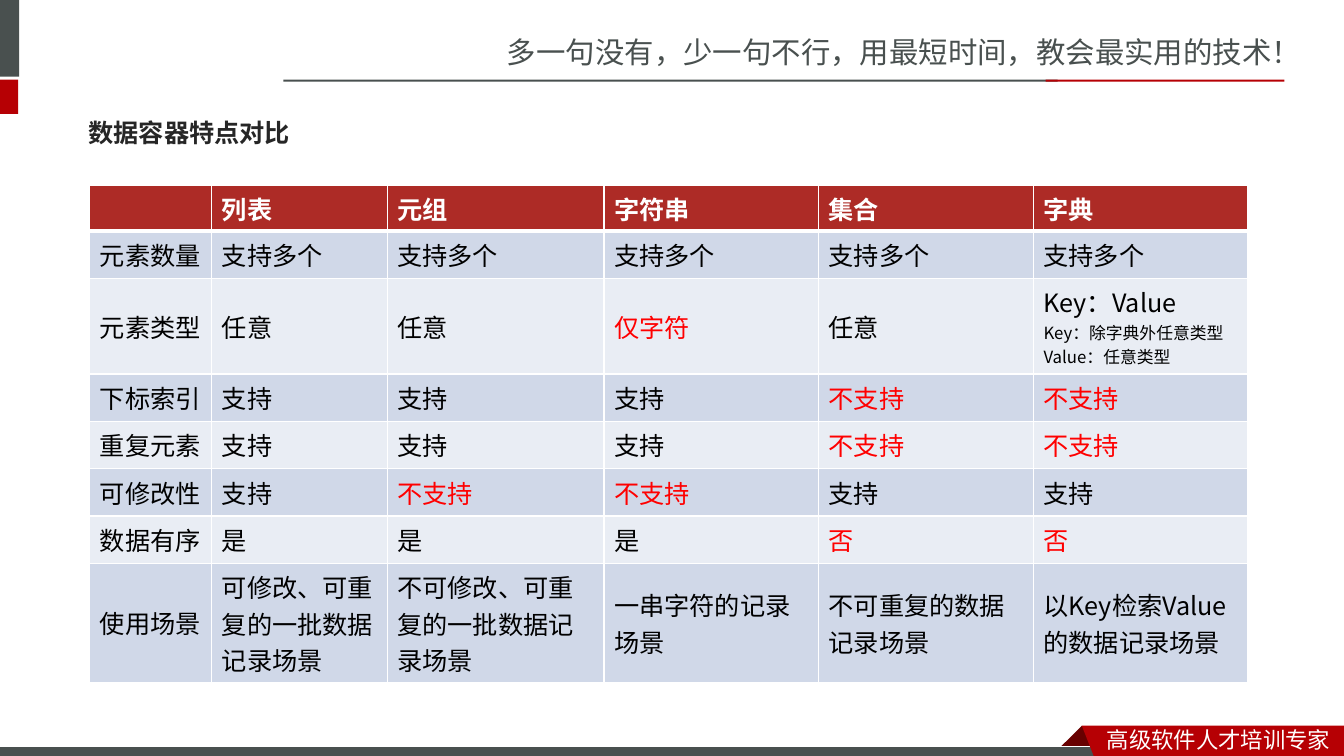
import pptx
import pptx.util
import pptx.dml.color
import pptx.enum.shapes
import pptx.enum.text
import pptx.oxml.ns
import lxml.etree

Inches = pptx.util.Inches
Pt = pptx.util.Pt
SC, JP = "Noto Sans CJK SC", "Noto Sans CJK JP"
GREY, RED, DARK, WHITE = "49504F", "B60004", "680000", "FFFFFF"

TEXTS = [
    ("多一句没有，少一句不行，用最短时间，教会最实用的技术！",
     (4.93, 0.28, 8.41, 0.47), 21, SC, GREY, False),
    ("高级软件人才培训专家", (10.88, 7.15, 2.45, 0.37), 16, SC, WHITE, False),
    ("数据容器特点对比", (0.78, 1.03, 11.7, 0.57), 18, JP, "262626", True),
]
BARS = [
    ((-0.06, 0, 0.25, 0.76), GREY),
    ((-0.06, 0.79, 0.24, 0.34), RED),
    ((2.81, 0.79, 7.68, 0.02), GREY),
    ((10.37, 0.79, 2.37, 0.02), RED),
    ((-0.01, 7.41, 11, 0.12), GREY),
]
FOLD = [(10.73, 7.2), (10.95, 7.42), (10.94, 7.43), (10.52, 7.43), (10.51, 7.42)]
RIBBON = [(10.73, 7.2), (13.33, 7.2), (13.33, 7.54), (10.86, 7.53)]

ROWS = [
    ["", "列表", "元组", "字符串", "集合", "字典"],
    ["元素数量"] + ["支持多个"] * 5,
    ["元素类型", "任意", "任意", "仅字符", "任意",
     "Key：Value\nKey：除字典外任意类型\nValue：任意类型"],
    ["下标索引", "支持", "支持", "支持", "不支持", "不支持"],
    ["重复元素", "支持", "支持", "支持", "不支持", "不支持"],
    ["可修改性", "支持", "不支持", "不支持", "支持", "支持"],
    ["数据有序", "是", "是", "是", "否", "否"],
    ["使用场景", "可修改、可重复的一批数据记录场景",
     "不可修改、可重复的一批数据记录场景", "一串字符的记录场景",
     "不可重复的数据记录场景", "以Key检索Value的数据记录场景"],
]
LIMITS = {"仅字符", "不支持", "否"}
WIDTHS = [1.21, 1.74, 2.15, 2.13, 2.13, 2.12]
HEIGHTS = [0.45, 0.47, 0.95, 0.47, 0.47, 0.47, 0.47, 1.18]
BANDS = ["E9EDF4", "D0D8E8"]


def color(code):
    return pptx.dml.color.RGBColor.from_string(code)


def paint(shape, code):
    shape.shadow.inherit = False
    shape.fill.solid()
    shape.fill.fore_color.rgb = color(code)
    shape.line.fill.background()


def style(para, size, face, code, bold):
    for run in para.runs:
        run.font.size = Pt(size)
        run.font.bold = bold
        run.font.color.rgb = color(code)
        run.font.name = face
        east = lxml.etree.SubElement(run.font._element, pptx.oxml.ns.qn("a:ea"))
        east.set("typeface", face)


def border(cell, side, width):
    qn = pptx.oxml.ns.qn
    props = cell._tc.get_or_add_tcPr()
    line = lxml.etree.SubElement(props, qn("a:ln" + side), w=str(Pt(width)))
    fill = lxml.etree.SubElement(line, qn("a:solidFill"))
    lxml.etree.SubElement(fill, qn("a:srgbClr"), val=WHITE)


def outline(shapes, points, code):
    spots = [(round(x * 100), round(y * 100)) for x, y in points]
    pen = shapes.build_freeform(*spots[0], scale=Inches(0.01))
    pen.add_line_segments(spots[1:], close=True)
    paint(pen.convert_to_shape(), code)


def label(shapes, text, place, size, face, code, bold):
    box = shapes.add_textbox(*map(Inches, place))
    frame = box.text_frame
    frame.word_wrap = True
    frame.vertical_anchor = pptx.enum.text.MSO_ANCHOR.MIDDLE
    frame.text = text
    style(frame.paragraphs[0], size, face, code, bold)


def compare(shapes):
    table = shapes.add_table(
        len(ROWS), len(WIDTHS), Inches(0.89), Inches(1.84),
        Inches(sum(WIDTHS)), Inches(sum(HEIGHTS))).table
    for col, width in zip(table.columns, WIDTHS):
        col.width = Inches(width)
    for r, row in enumerate(ROWS):
        table.rows[r].height = Inches(HEIGHTS[r])
        for c, text in enumerate(row):
            cell = table.cell(r, c)
            cell.text = text
            cell.vertical_anchor = pptx.enum.text.MSO_ANCHOR.MIDDLE
            for side in "LRTB":
                thick = (r, side) in [(0, "B"), (1, "T")]
                border(cell, side, 3 if thick else 1)
            cell.fill.solid()
            cell.fill.fore_color.rgb = color(BANDS[r % 2] if r else "AD2B26")
            ink = WHITE if r == 0 else "FF0000" if text in LIMITS else "000000"
            for i, para in enumerate(cell.text_frame.paragraphs):
                style(para, 12 if i else 18, JP, ink, r == 0)


def main():
    deck = pptx.Presentation()
    deck.slide_width, deck.slide_height = Inches(13.33), Inches(7.5)
    shapes = deck.slides.add_slide(deck.slide_layouts[6]).shapes
    outline(shapes, FOLD, DARK)
    for place, code in BARS:
        bar = shapes.add_shape(
            pptx.enum.shapes.MSO_SHAPE.RECTANGLE, *map(Inches, place))
        paint(bar, code)
    bar.line.color.rgb = color(WHITE)
    bar.line.width = Pt(0.75)
    outline(shapes, RIBBON, RED)
    for item in TEXTS:
        label(shapes, *item)
    compare(shapes)
    deck.save("out.pptx")


if __name__ == "__main__":
    main()
